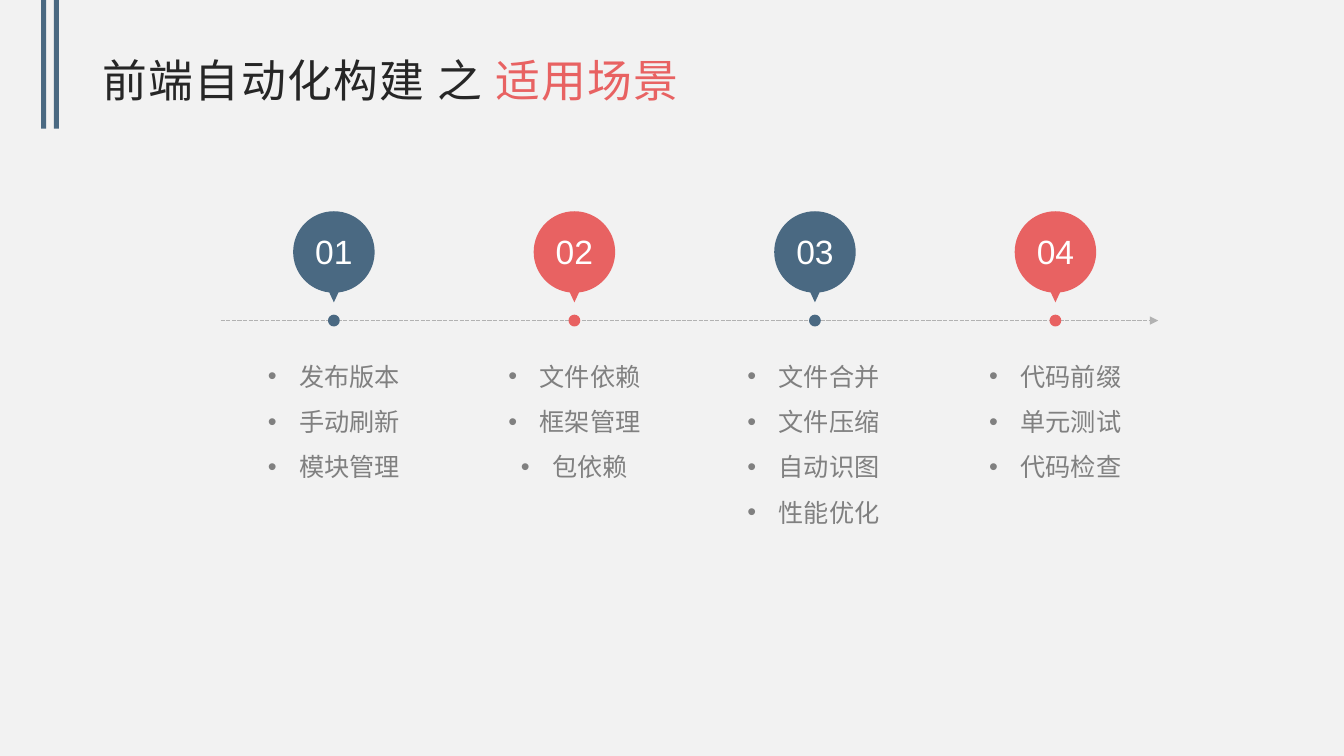
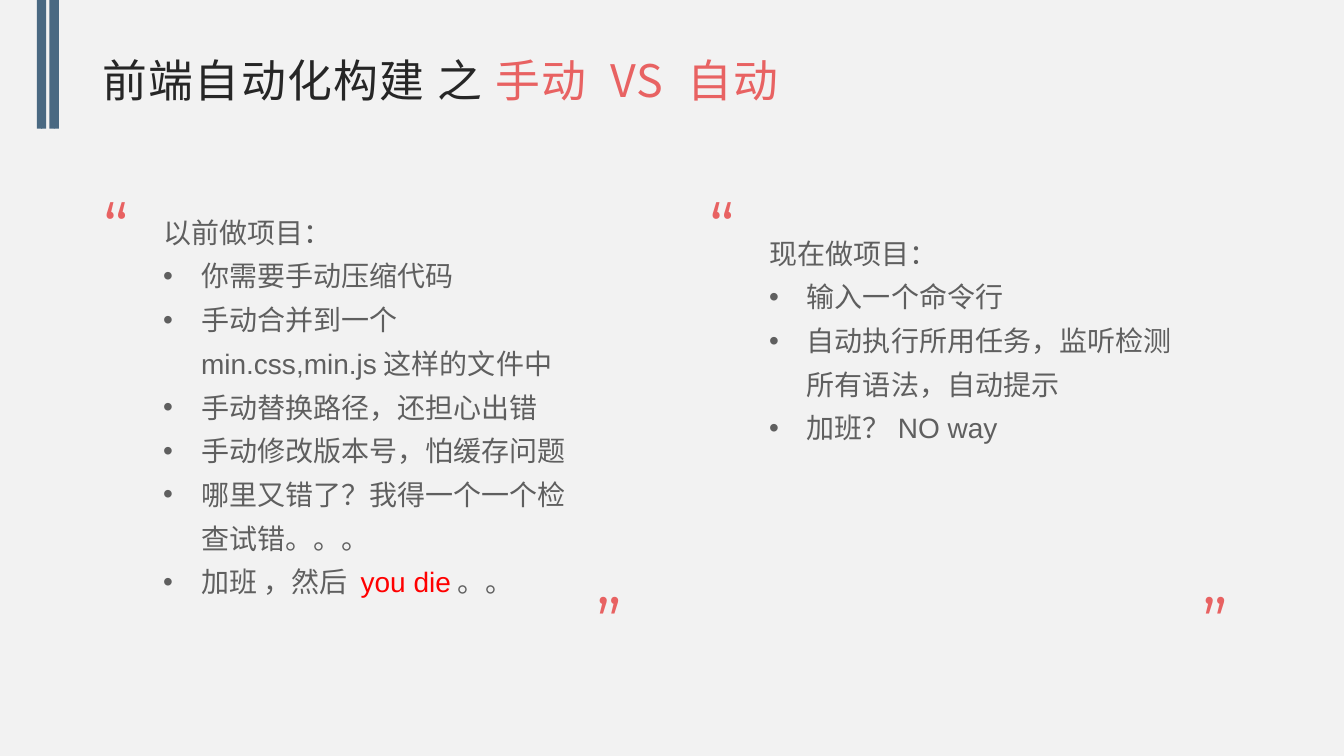
from dataclasses import dataclass
from math import cos, radians, sin, tan

from lxml.etree import SubElement
from pptx import Presentation
from pptx.dml.color import RGBColor
from pptx.enum.dml import MSO_LINE
from pptx.enum.lang import MSO_LANGUAGE_ID
from pptx.enum.shapes import MSO_CONNECTOR, MSO_SHAPE
from pptx.enum.text import MSO_ANCHOR, PP_ALIGN
from pptx.oxml.ns import qn
from pptx.oxml.xmlchemy import OxmlElement
from pptx.util import Pt


@dataclass(frozen=True)
class TextStyle:
    size: float
    color: str
    latin: str = "Arial"
    east_asian: str = ""
    tracking: float = 0
    line_spacing: float = 1.0


@dataclass(frozen=True)
class Theme:
    background: str = "F2F2F2"
    blue: str = "4A6982"
    coral: str = "E86262"
    red: str = "FF0000"
    axis: str = "B2B2B2"
    title: TextStyle = TextStyle(32, "262626", "Noto Sans CJK SC", "Noto Sans CJK SC", 1, 0.9)
    number: TextStyle = TextStyle(24, "FFFFFF")
    topic: TextStyle = TextStyle(18, "808080", line_spacing=1.5)
    body: TextStyle = TextStyle(20, "5F5F5F", line_spacing=1.3)
    quote: TextStyle = TextStyle(48, "E86262", "Montserrat", "Montserrat")


THEME = Theme()

FIRST_PIN, PIN_STEP = 238.5, 171.8
AXIS_Y = 229
BUBBLE_Y, BUBBLE_RADIUS = 180, 29.1
TAIL_Y, TAIL_ANGLE, DOT_RADIUS = 216, 6.5, 4.2

# Left edge of each topic list, then its topics
SCENARIOS = [
    (173, ["发布版本", "手动刷新", "模块管理"]),
    (344.8, ["文件依赖", "框架管理", "包依赖"]),
    (515.5, ["文件合并", "文件压缩", "自动识图", "性能优化"]),
    (688.2, ["代码前缀", "单元测试", "代码检查"]),
]

BEFORE = [
    "你需要手动压缩代码",
    "手动合并到一个min.css,min.js这样的文件中",
    "手动替换路径，还担心出错",
    "手动修改版本号，怕缓存问题",
    "哪里又错了？我得一个一个检查试错。。。",
    [("加班 ，然后 ", None), ("you die", THEME.red), ("。。", None)],
]
NOW = [
    "输入一个命令行",
    "自动执行所用任务，监听检测所有语法，自动提示",
    "加班？NO way",
]


def paint(shape, color):
    shape.shadow.inherit = False
    shape.fill.solid()
    shape.fill.fore_color.rgb = RGBColor.from_string(color)
    shape.line.fill.background()


def add_span(para, text, style, color=None):
    span = para.add_run()
    span.text = text
    font = span.font
    font.size = Pt(style.size)
    font.name = style.latin
    font.color.rgb = RGBColor.from_string(color or style.color)
    font.language_id = MSO_LANGUAGE_ID.SIMPLIFIED_CHINESE
    properties = font._element
    if style.tracking:
        properties.set("spc", str(int(style.tracking * 100)))
    if style.east_asian:
        SubElement(properties, qn("a:ea")).set("typeface", style.east_asian)


def add_bullet(para, indent):
    properties = para._p.get_or_add_pPr()
    properties.set("marL", str(Pt(indent)))
    properties.set("indent", str(Pt(-indent)))
    SubElement(properties, qn("a:buFont")).set("typeface", "Arial")
    SubElement(properties, qn("a:buChar")).set("char", "•")


def write(frame, paragraphs, style, align=PP_ALIGN.LEFT, indent=0, plain=0):
    """Fill a frame; paragraphs are strings or (text, color) lists, bulleted after the plain ones."""
    for index, content in enumerate(paragraphs):
        para = frame.paragraphs[0] if index == 0 else frame.add_paragraph()
        para.alignment = align
        para.line_spacing = style.line_spacing
        if indent and index >= plain:
            add_bullet(para, indent)
        spans = [(content, None)] if isinstance(content, str) else content
        for text, color in spans:
            add_span(para, text, style, color)


def set_margins(frame, left=0, top=0, right=0, bottom=0):
    frame.margin_left, frame.margin_top = Pt(left), Pt(top)
    frame.margin_right, frame.margin_bottom = Pt(right), Pt(bottom)


def add_text_frame(page, left, top, width, height, anchor=MSO_ANCHOR.TOP):
    box = page.shapes.add_textbox(Pt(left), Pt(top), Pt(width), Pt(height))
    frame = box.text_frame
    frame.word_wrap = True
    frame.vertical_anchor = anchor
    return frame


def add_bars(page, lefts):
    bars = []
    for left in lefts:
        bar = page.shapes.add_shape(MSO_SHAPE.RECTANGLE, Pt(left), 0, Pt(3.7), Pt(92))
        paint(bar, THEME.blue)
        bars.append(bar)
    return bars


def move_to_master(deck, shapes):
    """Hand shapes drawn on a page to the master, so that every page shows them."""
    tree = deck.slide_master.shapes._spTree
    for number, shape in enumerate(shapes, start=101):
        shape._element.nvSpPr.cNvPr.set("id", str(number))
        tree.append(shape._element)


def add_page(deck, topic):
    page = deck.slides.add_slide(deck.slide_layouts[6])
    frame = add_text_frame(page, 66.2, 31, 828, 57, MSO_ANCHOR.MIDDLE)
    write(frame, [[("前端自动化构建 之 ", None), (topic, THEME.coral)]], THEME.title)
    return page


def arc(center_x, center_y, radius, start, end):
    """Give the two control points and the end point of a cubic curve along a circle."""
    first, last = radians(start), radians(end)
    reach = 4 / 3 * tan((last - first) / 4)
    offsets = [
        (cos(first) - reach * sin(first), sin(first) + reach * cos(first)),
        (cos(last) + reach * sin(last), sin(last) - reach * cos(last)),
        (cos(last), sin(last)),
    ]
    return [(Pt(center_x + radius * x), Pt(center_y + radius * y)) for x, y in offsets]


def bend(shape, steps):
    """Turn each step of three points into one cubic curve."""
    lines = shape._element.iter(qn("a:lnTo"))
    lines = iter(list(lines))
    for step in steps:
        parts = [next(lines) for _ in step]
        if len(parts) == 3:
            curve = OxmlElement("a:cubicBezTo")
            parts[0].addprevious(curve)
            for part in parts:
                curve.append(part[0])
                part.getparent().remove(part)


def add_pin(page, center, label, color):
    """Draw a numbered bubble with its tail and the dot on the axis as one outline."""
    dot = [arc(center, AXIS_Y, DOT_RADIUS, start, start + 90) for start in (-90, 0, 90, 180)]
    turns = [(-90, 0), (0, 90 - TAIL_ANGLE), (90 + TAIL_ANGLE, 180), (180, 270)]
    bubble = [arc(center, BUBBLE_Y, BUBBLE_RADIUS, *turn) for turn in turns]
    tail_end = (Pt(center - BUBBLE_RADIUS * sin(radians(TAIL_ANGLE))),
                Pt(BUBBLE_Y + BUBBLE_RADIUS * cos(radians(TAIL_ANGLE))))
    bubble[2:2] = [[(Pt(center), Pt(TAIL_Y))], [tail_end]]

    builder = page.shapes.build_freeform(*dot[-1][-1], scale=1.0)
    builder.add_line_segments(sum(dot, []), close=True)
    builder.move_to(*bubble[-1][-1])
    builder.add_line_segments(sum(bubble, []), close=True)
    pin = builder.convert_to_shape()
    bend(pin, dot + bubble)
    paint(pin, color)
    frame = pin.text_frame
    frame.vertical_anchor = MSO_ANCHOR.MIDDLE
    set_margins(frame, bottom=25.5)
    write(frame, [label], THEME.number, PP_ALIGN.CENTER)


def add_axis(page):
    axis = page.shapes.add_connector(
        MSO_CONNECTOR.STRAIGHT, Pt(157.7), Pt(AXIS_Y), Pt(827.3), Pt(AXIS_Y))
    axis.line.color.rgb = RGBColor.from_string(THEME.axis)
    axis.line.width = Pt(1)
    axis.line.dash_style = MSO_LINE.SQUARE_DOT
    SubElement(axis.line._get_or_add_ln(), qn("a:tailEnd")).set("type", "triangle")
    SubElement(axis._element.spPr, qn("a:effectLst"))


def add_scenario(page, index, left, topics):
    color = (THEME.blue, THEME.coral)[index % 2]
    add_pin(page, FIRST_PIN + index * PIN_STEP, f"{index + 1:02}", color)
    frame = add_text_frame(page, left, 247, 131, 225)
    set_margins(frame)
    write(frame, topics, THEME.topic, PP_ALIGN.CENTER, indent=22.5)


def add_quote_mark(page, mark, left, top):
    frame = add_text_frame(page, left, top, 52.5, 65.5, MSO_ANCHOR.MIDDLE)
    write(frame, [mark], THEME.quote, PP_ALIGN.CENTER)


def add_quotation(page, left, top, height, heading, points):
    frame = add_text_frame(page, left + 52.4, top, 310, height)
    write(frame, [heading, *points], THEME.body, indent=27, plain=1)
    add_quote_mark(page, "”", left + 351.7, 410.5)
    add_quote_mark(page, "“", left, 128.5)


def add_scenarios_page(deck):
    page = add_page(deck, "适用场景")
    move_to_master(deck, add_bars(page, (29.3, 38.4)))
    add_axis(page)
    for index, (left, topics) in enumerate(SCENARIOS):
        add_scenario(page, index, left, topics)


def add_comparison_page(deck):
    page = add_page(deck, "手动 VS 自动")
    add_bars(page, (26.4, 35.3))
    add_quotation(page, 57.1, 143, 288, "以前做项目：", BEFORE)
    add_quotation(page, 489.9, 158, 163, "现在做项目：", NOW)


def main():
    deck = Presentation()
    deck.slide_width, deck.slide_height = Pt(960), Pt(540)
    background = deck.slide_master.background.fill
    background.solid()
    background.fore_color.rgb = RGBColor.from_string(THEME.background)
    add_scenarios_page(deck)
    add_comparison_page(deck)
    deck.save("out.pptx")


if __name__ == "__main__":
    main()
